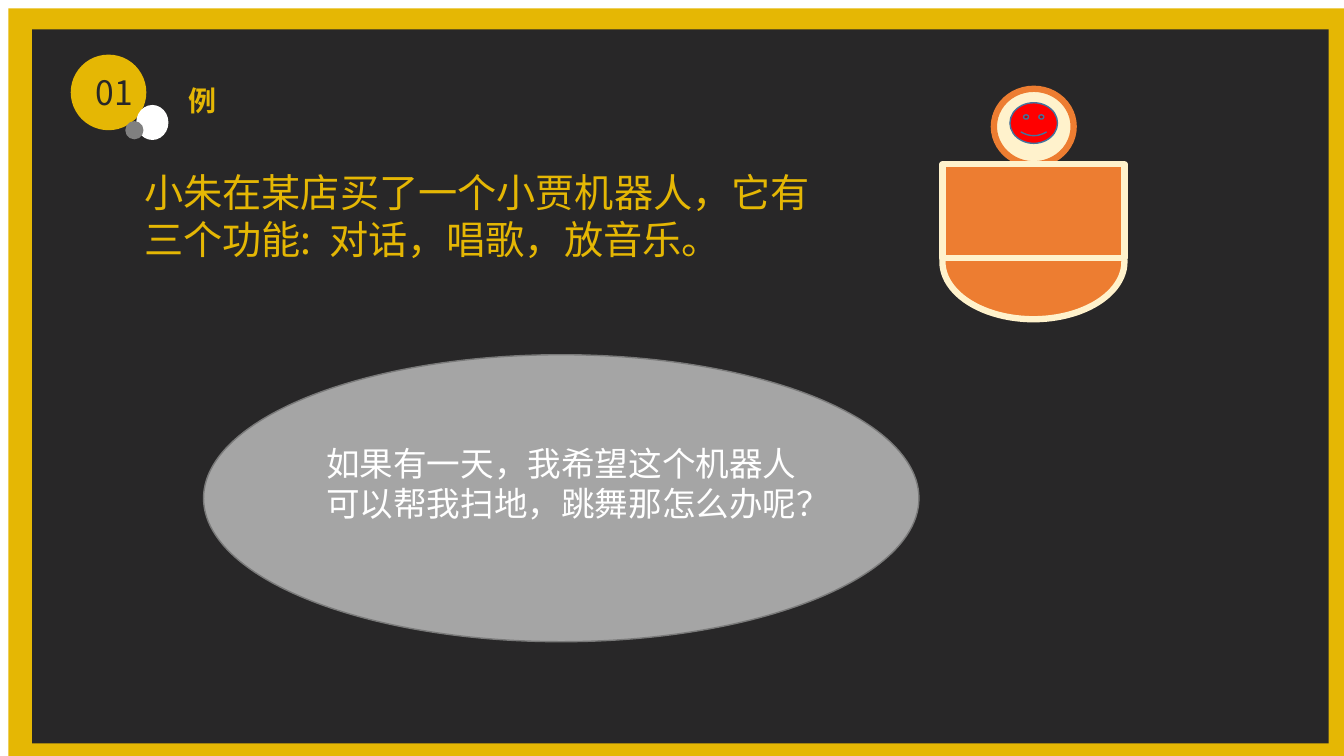
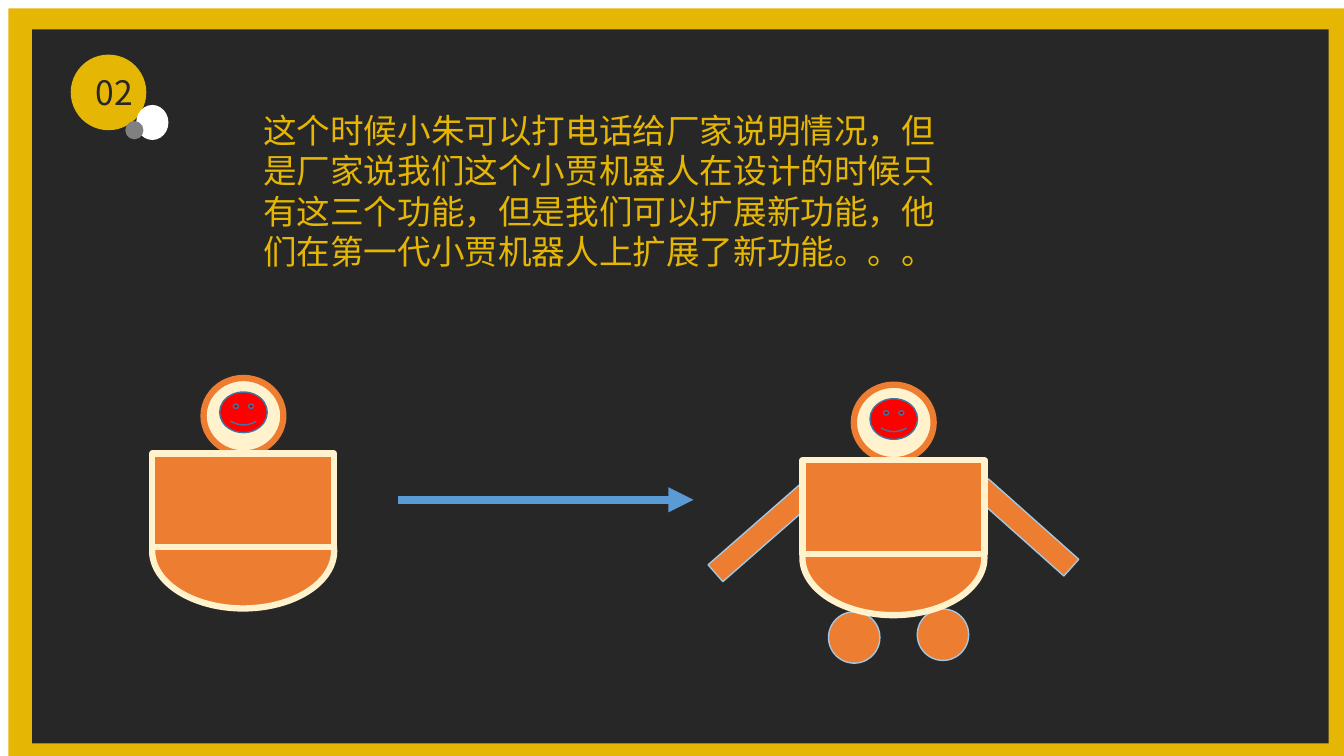
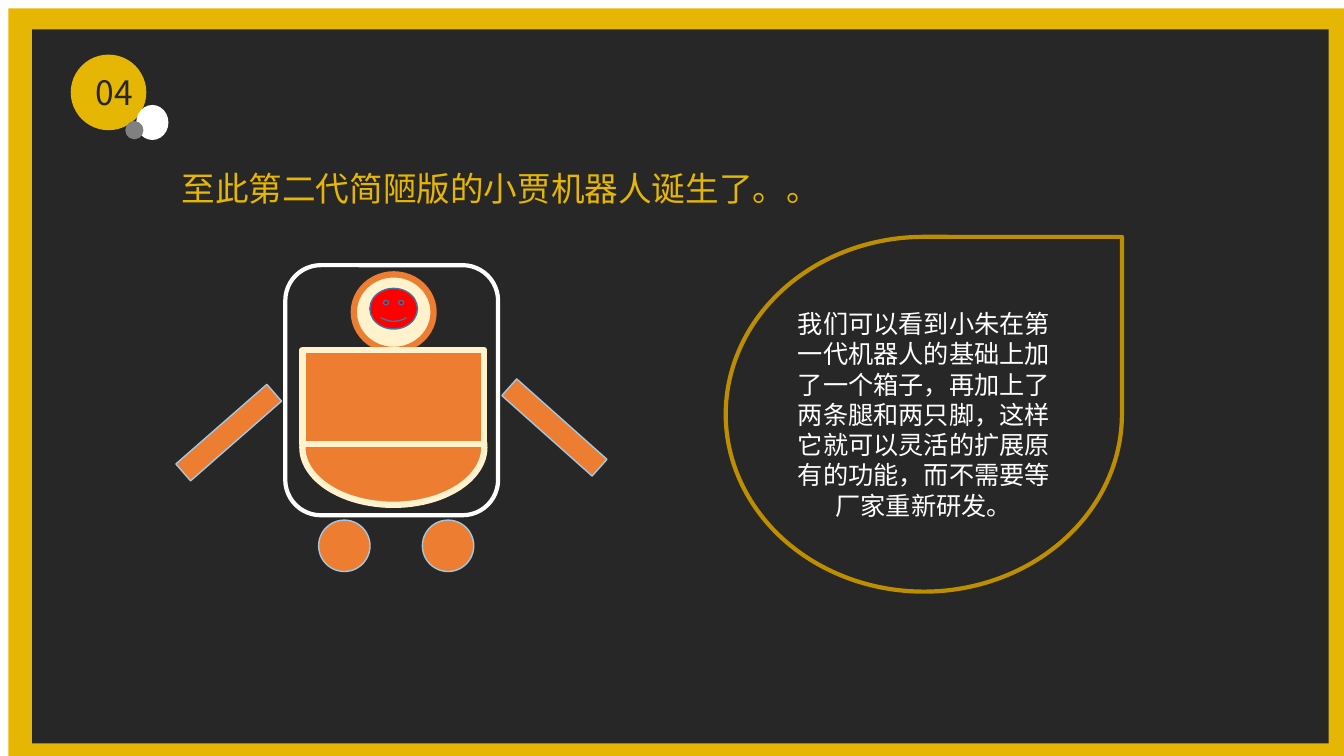
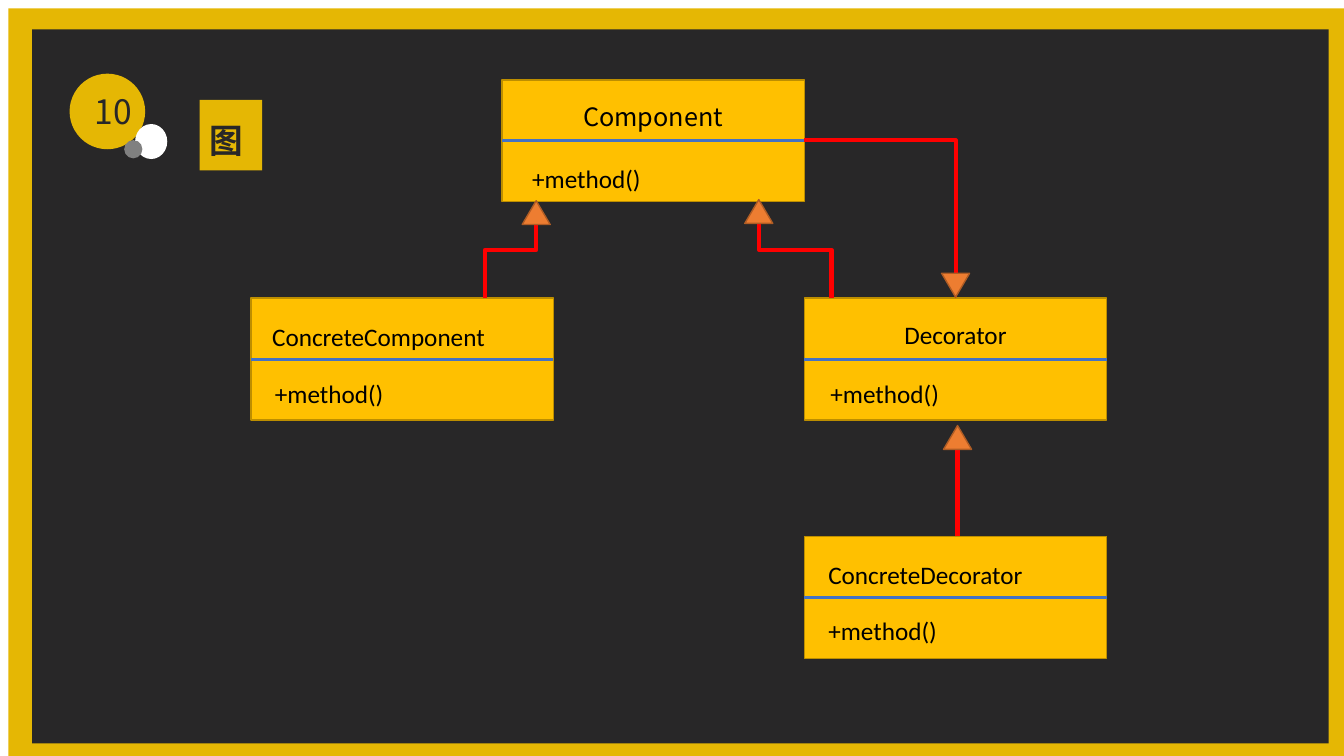
from lxml import etree
from pptx import Presentation
from pptx import util as u
from pptx.dml import color
from pptx.enum import shapes, text
from pptx.oxml import ns

Pt = u.Pt
Kind = shapes.MSO_SHAPE
Align = text.PP_ALIGN
Anchor = text.MSO_ANCHOR
CJK = "Noto Sans CJK SC"
LATIN = "Calibri"
GOLD, DARK, WHITE, GRAY = "E5B704", "282728", "FFFFFF", "808080"
ORANGE, CREAM, RED, PALE_BLUE = "ED7D31", "FFF2CC", "FF0000", "A3C7E0"
AMBER, AMBER_EDGE, BLACK = "FFC000", "BD8E00", "000000"
DEFAULT_INSETS = (7.2, 3.6, 7.2, 3.6)


def rgb(value):
    return color.RGBColor.from_string(value)


class Deck:
    def __init__(self):
        self.presentation = Presentation()
        self.presentation.slide_width = Pt(960)
        self.presentation.slide_height = Pt(540)
        self.layout = self.presentation.slide_layouts[5]
        self.slide = None

    def start(self, number, left=50.5, top=39):
        first = self.slide is None
        self.slide = self.presentation.slides.add_slide(self.layout)
        if first:
            self.frame_layout()
        self.badge(number, left, top)

    def frame_layout(self):
        border = self.shape(Kind.RECTANGLE, 6, 6, 954, 534, GOLD)
        panel = self.shape(Kind.RECTANGLE, 23, 21, 926, 510, DARK)
        for position, shape in enumerate((border, panel), 2):
            self.layout.shapes.element.insert(position, shape.element)

    def shape(self, kind, left, top, width, height, fill=None, line=None, weight=1, rotation=0):
        shape = self.slide.shapes.add_shape(kind, Pt(left), Pt(top), Pt(width), Pt(height))
        shape.shadow.inherit = False
        shape.rotation = rotation
        if fill:
            shape.fill.solid()
            shape.fill.fore_color.rgb = rgb(fill)
        else:
            shape.fill.background()
        if line:
            shape.line.color.rgb = rgb(line)
            shape.line.width = Pt(weight)
        else:
            shape.line.fill.background()
        return shape

    def set_text(self, shape, words, size, ink, font=CJK, bold=False, align=Align.LEFT,
                 anchor=Anchor.TOP, insets=DEFAULT_INSETS, wrap=True, spacing=1.2):
        frame = shape.text_frame
        frame.auto_size = text.MSO_AUTO_SIZE.NONE
        frame.word_wrap = wrap
        frame.vertical_anchor = anchor
        (frame.margin_left, frame.margin_top,
         frame.margin_right, frame.margin_bottom) = map(Pt, insets)
        paragraph = frame.paragraphs[0]
        paragraph.alignment = align
        if font == CJK:
            paragraph.line_spacing = Pt(size * spacing)
        run = paragraph.add_run()
        run.text = words
        run.font.size = Pt(size)
        run.font.bold = bold
        run.font.color.rgb = rgb(ink)
        run.font.name = font
        east_asian = etree.SubElement(run.font._element, ns.qn("a:ea"))
        east_asian.set("typeface", font)

    def title(self, words, left, top, width, height, size=24, ink=GOLD, fill=None, **style):
        title = self.slide.shapes.title
        title.left, title.top, title.width, title.height = map(Pt, (left, top, width, height))
        if fill:
            title.fill.solid()
            title.fill.fore_color.rgb = rgb(fill)
        self.set_text(title, words, size, ink, **style)

    def label(self, words, left, top, width, height, size, ink, **style):
        box = self.slide.shapes.add_textbox(Pt(left), Pt(top), Pt(width), Pt(height))
        self.set_text(box, words, size, ink, **style)

    def badge(self, number, left, top):
        disc = self.shape(Kind.OVAL, left, top, 54, 54, GOLD)
        self.set_text(disc, number, 24, DARK, align=Align.CENTER, anchor=Anchor.MIDDLE,
                      insets=(8.6, 0, 0, 0))
        self.shape(Kind.OVAL, left + 46.8, top + 36, 23, 25, WHITE)
        self.shape(Kind.OVAL, left + 39, top + 47.5, 13, 13, GRAY)

    def robot(self, left, top):
        self.shape(Kind.OVAL, left + 36.7, top - 54, 57, 54, CREAM, ORANGE, 4.5)
        self.shape(Kind.OVAL, left, top + 28.6, 130, 82, ORANGE, CREAM, 4.5)
        self.shape(Kind.RECTANGLE, left, top, 130, 67, ORANGE, CREAM, 4.5)
        self.shape(Kind.SMILEY_FACE, left + 48.2, top - 44, 34, 29, RED, "43739E")

    def limbs(self, arms, feet):
        for (left, top), rotation in zip(arms, (318.8, 41.7)):
            self.shape(Kind.RECTANGLE, left, top, 86.4, 16, ORANGE, PALE_BLUE, rotation=rotation)
        for left, top in feet:
            self.shape(Kind.OVAL, left, top, 36.7, 36.7, ORANGE, PALE_BLUE)

    def connector(self, start, end, ink, weight, arrow=False, kind=shapes.MSO_CONNECTOR.STRAIGHT):
        connector = self.slide.shapes.add_connector(kind, *map(Pt, (*start, *end)))
        connector.line.color.rgb = rgb(ink)
        connector.line.width = Pt(weight)
        properties = connector.element.spPr
        etree.SubElement(properties, ns.qn("a:effectLst"))
        if arrow:
            tail = etree.SubElement(properties.find(ns.qn("a:ln")), ns.qn("a:tailEnd"))
            tail.set("type", "triangle")
        return properties

    def rising_elbow(self, start, end):
        middle_x, middle_y = (start[0] + end[0]) / 2, (start[1] + end[1]) / 2
        half_rise, half_run = (start[1] - end[1]) / 2, (end[0] - start[0]) / 2
        properties = self.connector(
            (middle_x - half_rise, middle_y - half_run),
            (middle_x + half_rise, middle_y + half_run),
            RED, 3, True, shapes.MSO_CONNECTOR.ELBOW)
        properties.find(ns.qn("a:xfrm")).set("rot", str(270 * 60000))

    def corner(self, start, end):
        properties = self.connector(start, end, RED, 3, True, shapes.MSO_CONNECTOR.ELBOW)
        properties.find(ns.qn("a:prstGeom")).set("prst", "bentConnector2")

    def class_box(self, left, top, name, name_offset, method_offset, **style):
        self.shape(Kind.RECTANGLE, left, top, 216, 87, AMBER, AMBER_EDGE)
        self.connector((left, top + 43.5), (left + 216, top + 43.5), "4472C4", 2.25)
        style = {"font": LATIN, **style}
        for words, (across, down), look in ((name, name_offset, style),
                                            ("+method()", method_offset, {"font": LATIN})):
            self.label(words, left + across, top + down, 196, 29, 18, BLACK, **look)

    def arrow_tip(self, left, top, rotation=0):
        self.shape(Kind.ISOSCELES_TRIANGLE, left, top, 20, 17, ORANGE, "AF5C24", rotation=rotation)


deck = Deck()

deck.start("01")
deck.title("例", 127.5, 56, 35, 32, size=20, bold=True, wrap=False)
deck.label("小朱在某店买了一个小贾机器人，它有三个功能:  对话，唱歌，放音乐。",
           96, 116.6, 503, 75, 28, GOLD)
deck.robot(673.2, 117.4)
question = deck.shape(Kind.OVAL, 145.4, 253.4, 511, 205, "A5A5A5", "7A7A7A")
deck.set_text(question, "如果有一天，我希望这个机器人可以帮我扫地，跳舞那怎么办呢？", 24, WHITE,
              align=Align.CENTER, anchor=Anchor.MIDDLE, insets=(7.2, 3.6, 7.2, 25.6))

deck.start("02")
deck.title("这个时候小朱可以打电话给厂家说明情况，但是厂家说我们这个小贾机器人在设计的时候只有这三个功能，"
           "但是我们可以扩展新功能，他们在第一代小贾机器人上扩展了新功能。。。",
           180.7, 75, 503, 124)
deck.robot(108.7, 324)
deck.connector((284.4, 357), (495.4, 357), "5B9BD5", 6, arrow=True)
deck.limbs(((500.4, 373), (689.8, 368.8)), ((591.8, 437), (655.2, 435)))
deck.robot(573.2, 328.8)

deck.start("04")
deck.title("至此第二代简陋版的小贾机器人诞生了。。", 122.4, 116, 503, 36)
deck.limbs(((120.2, 301), (352.8, 297.4)), ((227.6, 371.5), (301.7, 371.5)))
deck.robot(216, 250)
deck.shape(Kind.ROUNDED_RECTANGLE, 203.8, 189.4, 152, 178.6, line=WHITE, weight=3)
remark = deck.shape(Kind.TEAR, 518.4, 169.2, 283, 253.4, line=AMBER_EDGE, weight=3)
deck.set_text(remark, "我们可以看到小朱在第一代机器人的基础上加了一个箱子，再加上了两条腿和两只脚，"
              "这样它就可以灵活的扩展原有的功能，而不需要等厂家重新研发。", 18, WHITE,
              align=Align.CENTER, anchor=Anchor.MIDDLE)

deck.start("10", 49.7, 52.6)
deck.title("图", 142.6, 71.3, 44.6, 50.4, ink=DARK, fill=GOLD, bold=True,
           anchor=Anchor.MIDDLE, insets=(7.2, 3.6, 8.6, 8.6), spacing=1.68)
deck.class_box(358.6, 57, "Component", (10, 11.5), (14.4, 56), font=CJK, align=Align.CENTER)
deck.class_box(179.3, 213, "ConcreteComponent", (8, 13), (10, 54))
deck.class_box(574.6, 213, "Decorator", (10, 11.5), (11.5, 53.5), align=Align.CENTER)
deck.class_box(574.6, 383.2, "ConcreteDecorator", (10, 13), (10, 52.5))
deck.connector((684, 383), (684, 306.7), RED, 3, arrow=True)
deck.rising_elbow((346.3, 213), (383, 144))
deck.rising_elbow((594, 213), (542.2, 144))
deck.corner((574.6, 100.3), (682.6, 213))
for left, top, rotation in ((373, 143.4, 0), (532, 142.6, 0), (672.6, 195.2, 180), (674, 304, 0)):
    deck.arrow_tip(left, top, rotation)

deck.presentation.save("out.pptx")
